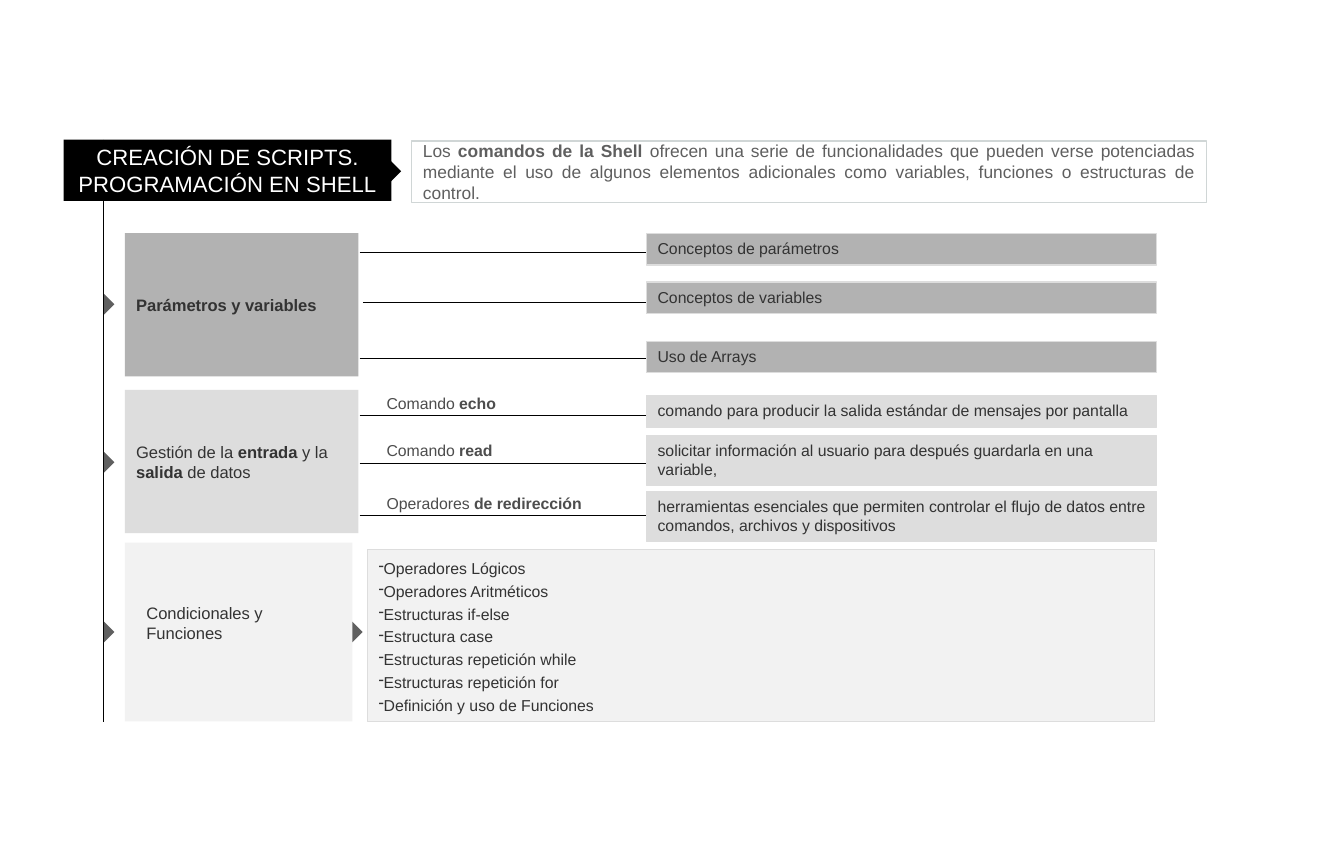
from dataclasses import dataclass

from lxml.etree import SubElement
from pptx import Presentation
from pptx.dml.color import RGBColor
from pptx.enum.shapes import MSO_CONNECTOR, MSO_SHAPE
from pptx.enum.text import MSO_ANCHOR, PP_ALIGN
from pptx.oxml.ns import qn
from pptx.shapes.autoshape import Shape
from pptx.util import Cm, Pt

HUES = {
    "black": "000000", "white": "FFFFFF", "frame": "D0D6D6",
    "dark": "B2B2B2", "mid": "DDDDDD", "pale": "F2F2F2",
    "ink": "333333", "label": "4D4D4D", "gray": "5F5F5F",
}


@dataclass
class Box:
    x: float
    y: float
    w: float
    h: float
    text: str = ""  # asterisks enclose bold words
    fill: str = ""
    edge: str = ""
    ink: str = "ink"
    size: float = 10
    anchor: MSO_ANCHOR = MSO_ANCHOR.TOP
    align: PP_ALIGN = PP_ALIGN.LEFT


@dataclass
class Row:
    y: float
    h: float
    tone: str
    text: str
    rule: float
    start: float = 8.03
    label: str = ""
    top: float = 0
    wide: float = 4.01


@dataclass
class Mark:
    x: float
    y: float
    fill: str = "gray"


MID = MSO_ANCHOR.MIDDLE
TITLE = Box(1.42, 3.12, 7.32, 1.37, "CREACIÓN DE SCRIPTS. PROGRAMACIÓN EN SHELL",
            "black", "", "white", 14, MID, PP_ALIGN.CENTER)
INTRO = Box(9.19, 3.15, 17.75, 1.37,
            "Los* comandos de la Shell *ofrecen una serie de funcionalidades que "
            "pueden verse potenciadas mediante el uso de algunos elementos adicionales "
            "como variables, funciones o estructuras de control.",
            "white", "frame", "gray", 11, MID, PP_ALIGN.JUSTIFY)
TOPICS = [
    Box(2.79, 5.21, 5.21, 3.2, "*Parámetros y variables*", "dark", size=10.5, anchor=MID),
    Box(2.79, 8.71, 5.21, 3.2, "Gestión de la *entrada *y la* salida *de datos",
        "mid", size=10.5, anchor=MID),
    Box(2.79, 12.12, 5.08, 3.99, fill="pale"),
    Box(3.02, 13.34, 4.5, 1.6, "Condicionales y Funciones", size=10.5),
]
ROWS = [
    Row(5.21, 0.71, "dark", "Conceptos de parámetros", 5.64),
    Row(6.3, 0.71, "dark", "Conceptos de variables", 6.75, 8.1),
    Row(7.62, 0.71, "dark", "Uso de Arrays", 8),
    Row(8.83, 0.71, "mid",
        "comando para producir la salida estándar de mensajes por pantalla",
        9.27, label="Comando *echo*", top=8.66),
    Row(9.72, 1.12, "mid",
        "solicitar información al usuario para después guardarla en una variable,",
        10.35, label="Comando *read*", top=9.72),
    Row(10.97, 1.12, "mid",
        "herramientas esenciales que permiten controlar el flujo de datos entre "
        "comandos, archivos y dispositivos",
        11.52, label="Operadores *de redirección*", top=10.9, wide=5.79),
]
ITEMS = ["Operadores Lógicos", "Operadores Aritméticos", "Estructuras if-else",
         "Estructura case", "Estructuras repetición while",
         "Estructuras repetición for", "Definición y uso de Funciones"]
LIST = Box(8.2, 12.27, 17.58, 3.84, "\n".join(ITEMS), "pale", "mid")
MARKS = [Mark(2.21, 6.68), Mark(2.21, 10.21), Mark(2.21, 14),
         Mark(8.61, 3.71, "black"), Mark(7.75, 14)]


def hue(name: str) -> RGBColor:
    return RGBColor.from_string(HUES[name])


def paint(shape: Shape, fill: str, edge: str = "") -> None:
    shape.shadow.inherit = False
    shape.fill.solid()
    shape.fill.fore_color.rgb = hue(fill)
    if edge:
        shape.line.color.rgb = hue(edge)
        shape.line.width = Pt(0.75)
    else:
        shape.line.fill.background()


def write(shape: Shape, box: Box) -> None:
    frame = shape.text_frame
    frame.word_wrap = True
    frame.vertical_anchor = box.anchor
    first, *rest = box.text.split("*")
    frame.text = first
    for place, part in enumerate(rest, 1):
        if part:
            run = frame.paragraphs[0].add_run()
            run.text = part
            run.font.bold = place % 2 == 1
    for para in frame.paragraphs:
        para.alignment = box.align
        for run in para.runs:
            run.font.name = "Arial"
            run.font.size = Pt(box.size)
            run.font.color.rgb = hue(box.ink)


def draw(slide, box: Box) -> Shape:
    area = Cm(box.x), Cm(box.y), Cm(box.w), Cm(box.h)
    if box.fill:
        shape = slide.shapes.add_shape(MSO_SHAPE.RECTANGLE, *area)
        paint(shape, box.fill, box.edge)
    else:
        shape = slide.shapes.add_textbox(*area)
    if box.text:
        write(shape, box)
    return shape


def rule(slide, x1: float, y1: float, x2: float, y2: float, arrow: bool = False) -> None:
    line = slide.shapes.add_connector(
        MSO_CONNECTOR.STRAIGHT, Cm(x1), Cm(y1), Cm(x2), Cm(y2))
    line.line.color.rgb = hue("black")
    line.line.width = Pt(0.75)
    if arrow:
        SubElement(line.line._get_or_add_ln(), qn("a:tailEnd"), type="triangle")
    SubElement(line._element.spPr, qn("a:effectLst"))


def dash(shape: Shape) -> None:
    for para in shape.text_frame.paragraphs:
        para.line_spacing = 1.2
        props = para._p.get_or_add_pPr()
        props.set("marL", "0")
        props.set("indent", str(-Cm(0.18)))
        tint = SubElement(props, qn("a:buClr"))
        SubElement(tint, qn("a:srgbClr"), val=HUES["ink"])
        SubElement(props, qn("a:buChar"), char="-")


def main() -> None:
    deck = Presentation()
    deck.slide_width, deck.slide_height = Cm(30), Cm(19.05)
    slide = deck.slides.add_slide(deck.slide_layouts[6])

    # Trunk line, heading and topics
    rule(slide, 2.31, 3.12, 2.31, 16.13)
    for box in [TITLE, INTRO, *TOPICS]:
        draw(slide, box)

    # Branches with their labels and details
    for row in ROWS:
        rule(slide, row.start, row.rule, row.start + 6.73, row.rule, arrow=True)
        draw(slide, Box(14.43, row.y, 11.38, row.h, row.text, row.tone, "mid"))
        if row.label:
            draw(slide, Box(8.38, row.top, row.wide, 0.69, row.label, ink="label"))

    # Dashed list of the last topic
    dash(draw(slide, LIST))

    # Triangular pointers
    for mark in MARKS:
        shape = slide.shapes.add_shape(
            MSO_SHAPE.ISOSCELES_TRIANGLE, Cm(mark.x), Cm(mark.y), Cm(0.46), Cm(0.23))
        shape.rotation = 90
        paint(shape, mark.fill)

    deck.save("out.pptx")


if __name__ == "__main__":
    main()
